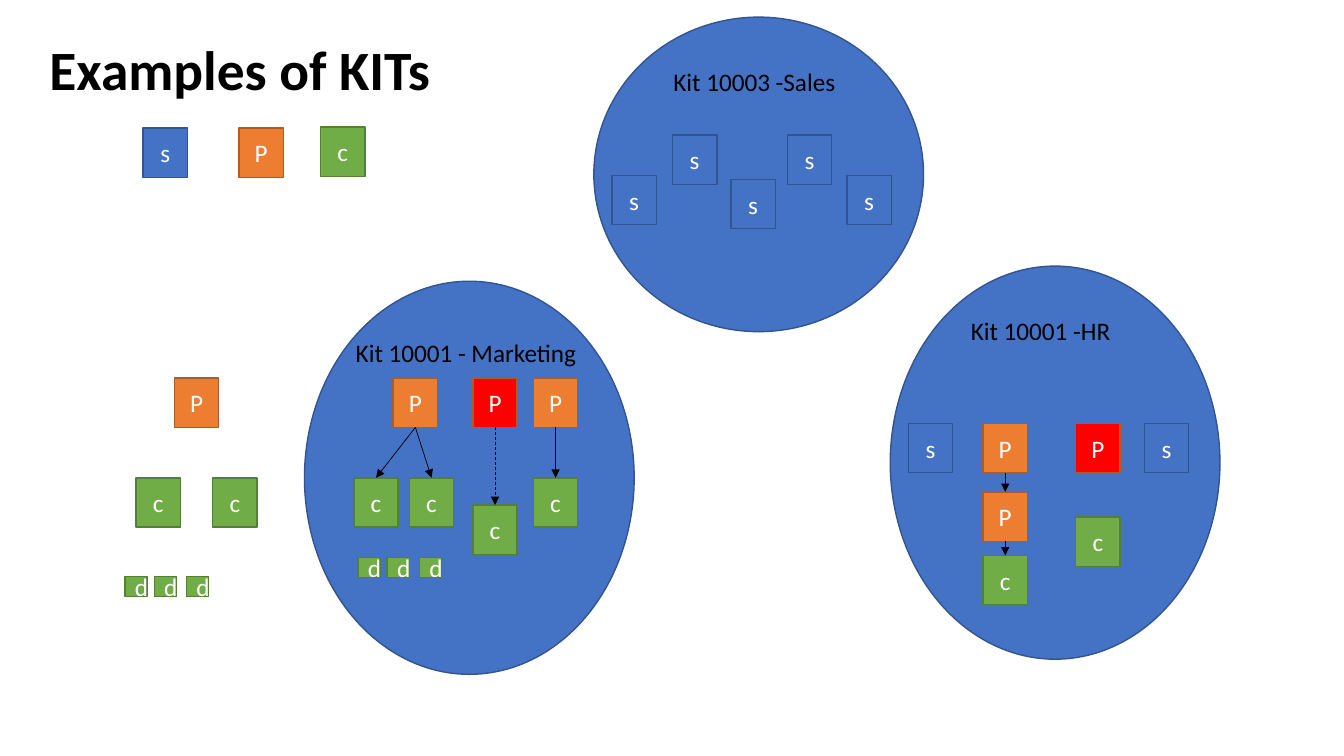
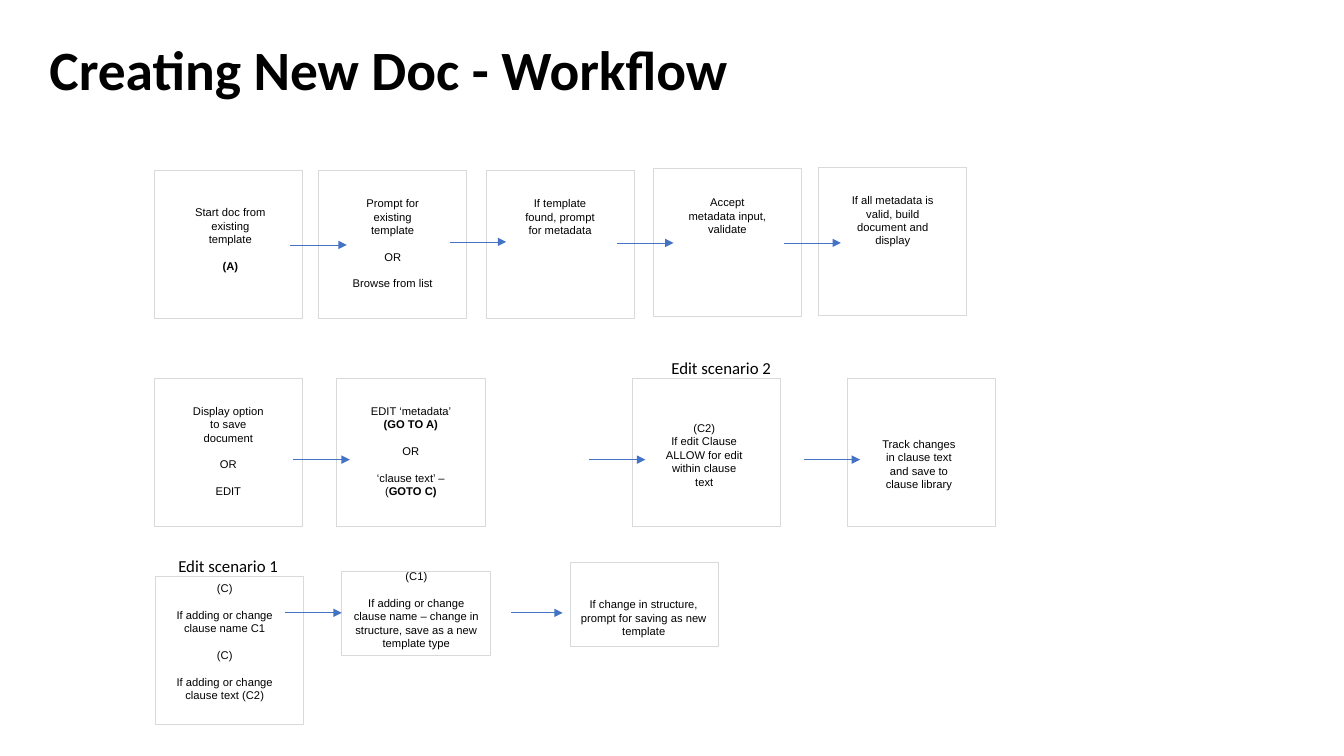
from lxml.etree import SubElement
from pptx import Presentation
from pptx.dml.color import RGBColor
from pptx.enum.dml import MSO_LINE
from pptx.enum.shapes import MSO_CONNECTOR, MSO_SHAPE
from pptx.enum.text import MSO_ANCHOR, MSO_AUTO_SIZE, PP_ALIGN
from pptx.oxml.ns import qn
from pptx.util import Inches, Pt

COLORS = {
    "black": "000000", "white": "FFFFFF", "red": "FF0000",
    "blue": "4472C4", "blue_edge": "325491",
    "orange": "ED7D31", "orange_edge": "AF5C24",
    "green": "70AD47", "green_edge": "538035", "frame": "D9D9D9",
}
FONTS = {
    "title": {"name": "Calibri", "size": Pt(39.6), "bold": True},
    "label": {"name": "Calibri", "size": Pt(18)},
    "caption": {"name": "Calibri", "size": Pt(12)},
    "step": {"name": "Arial", "size": Pt(8)},
}
TITLE_BOX = {"left": Inches(0.39), "top": Inches(0.4),
             "width": Inches(12.56), "height": Inches(0.63)}
TILE_SIZE = (0.44, 0.49)
SMALL_TILE_SIZE = (0.22, 0.2)
TILES = {
    "s": ("s", "blue", "blue_edge", TILE_SIZE),
    "P": ("P", "orange", "orange_edge", TILE_SIZE),
    "P red": ("P", "red", "orange_edge", TILE_SIZE),
    "c": ("c", "green", "green_edge", TILE_SIZE),
    "d": ("d", "green", "green_edge", SMALL_TILE_SIZE),
}
BOTTOM_SITE, TOP_SITE = 2, 0

LEGEND = [("s", 1.42, 1.27), ("P", 2.37, 1.27), ("c", 3.18, 1.26)]
LOOSE_PARTS = [("P", 1.73, 3.75), ("c", 1.35, 4.74), ("c", 2.11, 4.74),
               ("d", 1.24, 5.72), ("d", 1.53, 5.72), ("d", 1.85, 5.72)]

KITS = [
    {"box": (3.02, 2.79, 3.27, 3.9), "label": "Kit 10001 - Marketing",
     "label_box": (0.41, 0.51, 2.52, 0.4),
     "tiles": [("P", 0.88, 0.96), ("P red", 1.67, 0.96), ("P", 2.27, 0.96),
               ("c", 0.49, 1.95), ("c", 1.04, 1.95), ("c", 1.67, 2.22),
               ("c", 2.27, 1.95), ("d", 0.53, 2.74), ("d", 0.82, 2.74),
               ("d", 1.14, 2.74)],
     "links": [(0, 3, None), (0, 4, None), (2, 6, None), (1, 5, MSO_LINE.DASH)]},
    {"box": (8.83, 2.64, 3.27, 3.9), "label": "Kit 10001 -HR",
     "label_box": (0.7, 0.44, 1.91, 0.4),
     "tiles": [("s", 0.18, 1.56), ("P", 0.92, 1.56), ("P red", 1.84, 1.56),
               ("s", 2.52, 1.56), ("c", 1.84, 2.49), ("P", 0.92, 2.24),
               ("c", 0.92, 2.87)],
     "links": [(1, 5, None), (5, 6, None)]},
    {"box": (5.89, 0.17, 3.27, 3.12), "label": "Kit 10003 -Sales",
     "label_box": (0.69, 0.44, 1.91, 0.4),
     "tiles": [("s", 0.18, 1.57), ("s", 2.51, 1.57), ("s", 0.78, 1.17),
               ("s", 1.36, 1.61), ("s", 1.92, 1.17)],
     "links": []},
]

FRAME_SIDE, LOW_FRAME = 1.47, 0.83
STEP_GAP = 9.5
STEPS = [
    {"at": (1.53, 1.69), "text_at": (0.25, 0.3),
     "text": ["Start doc from existing template", "*(A)*"]},
    {"at": (3.16, 1.69), "text_at": (0.23, 0.21), "arrow": (-0.28, 0.74),
     "text": ["Prompt for existing template", "OR", "Browse from list"]},
    {"at": (4.82, 1.69), "text_at": (0.23, 0.21), "arrow": (-0.36, 0.71),
     "text": ["If template found, prompt for metadata"]},
    {"at": (6.48, 1.67), "text_at": (0.23, 0.22), "arrow": (-0.36, 0.74),
     "text": ["Accept metadata input, validate"]},
    {"at": (8.12, 1.66), "text_at": (0.23, 0.21), "arrow": (-0.34, 0.75),
     "text": ["If all metadata is valid, build document and display"]},
    {"at": (1.53, 3.75), "text_at": (0.23, 0.21),
     "text": ["Display option to save document", "OR", "EDIT"]},
    {"at": (3.34, 3.75), "text_at": (0.23, 0.21), "arrow": (-0.43, 0.81),
     "text": ["EDIT ‘metadata’ *(GO TO A)*", "OR",
              "‘clause text’ – (*GOTO C)*"]},
    {"at": (6.27, 3.75), "text_at": (0.21, 0.38), "arrow": (-0.43, 0.81),
     "gap": 0,
     "text": ["(C2)", "If edit Clause", "ALLOW for edit within clause text"]},
    {"at": (8.4, 3.75), "text_at": (0.21, 0.54), "arrow": (-0.43, 0.81),
     "text": ["Track changes in clause text and save to clause library"]},
    {"at": (1.54, 5.72), "text_at": (-0.01, 0), "text_width": 1.4,
     "text": ["(C)", "If adding or change clause name C1",
              "(C)", "If adding or change clause text (C2)"]},
    {"at": (3.39, 5.67), "text_at": (0.01, -0.07), "text_width": 1.46,
     "height": LOW_FRAME, "arrow": (-0.56, 0.41),
     "text": ["(C1)", "If adding or change clause name – change in structure, "
              "save as a new template type"]},
    {"at": (5.66, 5.58), "text_at": (-0.03, 0.3), "text_width": 1.51,
     "height": LOW_FRAME, "arrow": (-0.59, 0.5), "arrow_length": 0.51,
     "text": ["If change in structure, prompt for saving as new template"]},
]
CAPTIONS = [("Edit scenario 2", 6.56, 3.5), ("Edit scenario 1", 1.67, 5.46)]


def color(name):
    return RGBColor.from_string(COLORS[name])


def set_values(target, values):
    for name, value in values.items():
        setattr(target, name, value)


def style_font(font, style, color_name="black"):
    set_values(font, FONTS[style])
    font.color.rgb = color(color_name)


def add_titled_slide(presentation, title):
    slide = presentation.slides.add_slide(presentation.slide_layouts[5])
    shape = slide.shapes.title
    set_values(shape, TITLE_BOX)
    set_values(shape.text_frame, {
        "text": title, "word_wrap": True, "auto_size": MSO_AUTO_SIZE.NONE,
        "vertical_anchor": MSO_ANCHOR.MIDDLE})
    paragraph = shape.text_frame.paragraphs[0]
    set_values(paragraph, {"alignment": PP_ALIGN.LEFT, "line_spacing": 0.9})
    style_font(paragraph.runs[0].font, "title")
    return slide


def add_outline(slide, kind, box, fill, line, width=1):
    shape = slide.shapes.add_shape(kind, *map(Inches, box))
    shape.shadow.inherit = False
    if fill:
        shape.fill.solid()
        shape.fill.fore_color.rgb = color(fill)
    else:
        shape.fill.background()
    shape.line.color.rgb = color(line)
    shape.line.width = Pt(width)
    return shape


def add_text(slide, box, paragraphs, style, alignment=PP_ALIGN.LEFT, gap=0):
    shape = slide.shapes.add_textbox(*map(Inches, box))
    frame = shape.text_frame
    frame.word_wrap = True
    for index, text in enumerate(paragraphs):
        paragraph = frame.add_paragraph() if index else frame.paragraphs[0]
        paragraph.alignment = alignment
        if index and gap:
            paragraph.space_before = Pt(gap)
        for position, part in enumerate(text.split("*")):
            if part:
                run = paragraph.add_run()
                run.text = part
                style_font(run.font, style)
                run.font.bold = position % 2 == 1


def add_arrow(slide, start, end, color_name, dash=None):
    connector = slide.shapes.add_connector(
        MSO_CONNECTOR.STRAIGHT, *map(Inches, (*start, *end)))
    line = connector.line
    line.color.rgb = color(color_name)
    line.width = Pt(0.5)
    if dash:
        line.dash_style = dash
    properties = connector.element.spPr
    SubElement(properties.find(qn("a:ln")), qn("a:tailEnd"), type="triangle")
    SubElement(properties, qn("a:effectLst"))
    return connector


def add_tile(slide, kind, left, top):
    text, fill, line, size = TILES[kind]
    shape = add_outline(slide, MSO_SHAPE.RECTANGLE, (left, top, *size), fill, line)
    shape.text_frame.text = text
    shape.text_frame.vertical_anchor = MSO_ANCHOR.MIDDLE
    paragraph = shape.text_frame.paragraphs[0]
    paragraph.alignment = PP_ALIGN.CENTER
    style_font(paragraph.runs[0].font, "label", "white")
    return shape


def add_kit(slide, box, label, label_box, tiles, links):
    left, top = box[:2]
    add_outline(slide, MSO_SHAPE.OVAL, box, "blue", "blue_edge")
    x, y, width, height = label_box
    add_text(slide, (left + x, top + y, width, height), [label], "label")
    shapes = [add_tile(slide, kind, left + x, top + y) for kind, x, y in tiles]
    for parent, child, dash in links:
        connector = add_arrow(slide, (left, top), (left, top), "black", dash)
        connector.begin_connect(shapes[parent], BOTTOM_SITE)
        connector.end_connect(shapes[child], TOP_SITE)


def add_step(slide, at, text_at, text, text_width=1.01, height=FRAME_SIDE,
             gap=STEP_GAP, arrow=None, arrow_length=0.56):
    left, top = at
    text_left, text_top = left + text_at[0], top + text_at[1]
    add_text(slide, (text_left, text_top, text_width, 0.5), text, "step",
             PP_ALIGN.CENTER, gap)
    add_outline(slide, MSO_SHAPE.RECTANGLE, (left, top, FRAME_SIDE, height),
                None, "frame", 0.5)
    if arrow:
        x, y = left + arrow[0], top + arrow[1]
        add_arrow(slide, (x, y), (x + arrow_length, y), "blue")


def build_kits_slide(presentation):
    slide = add_titled_slide(presentation, "Examples of KITs")
    for tile in LEGEND + LOOSE_PARTS:
        add_tile(slide, *tile)
    for kit in KITS:
        add_kit(slide, **kit)


def build_workflow_slide(presentation):
    slide = add_titled_slide(presentation, "Creating New Doc - Workflow")
    for step in STEPS:
        add_step(slide, **step)
    for text, left, top in CAPTIONS:
        add_text(slide, (left, top, 2.89, 0.3), [text], "caption")


def main():
    presentation = Presentation()
    presentation.slide_width = Inches(13.33)
    presentation.slide_height = Inches(7.5)
    build_kits_slide(presentation)
    build_workflow_slide(presentation)
    presentation.save("out.pptx")


if __name__ == "__main__":
    main()
